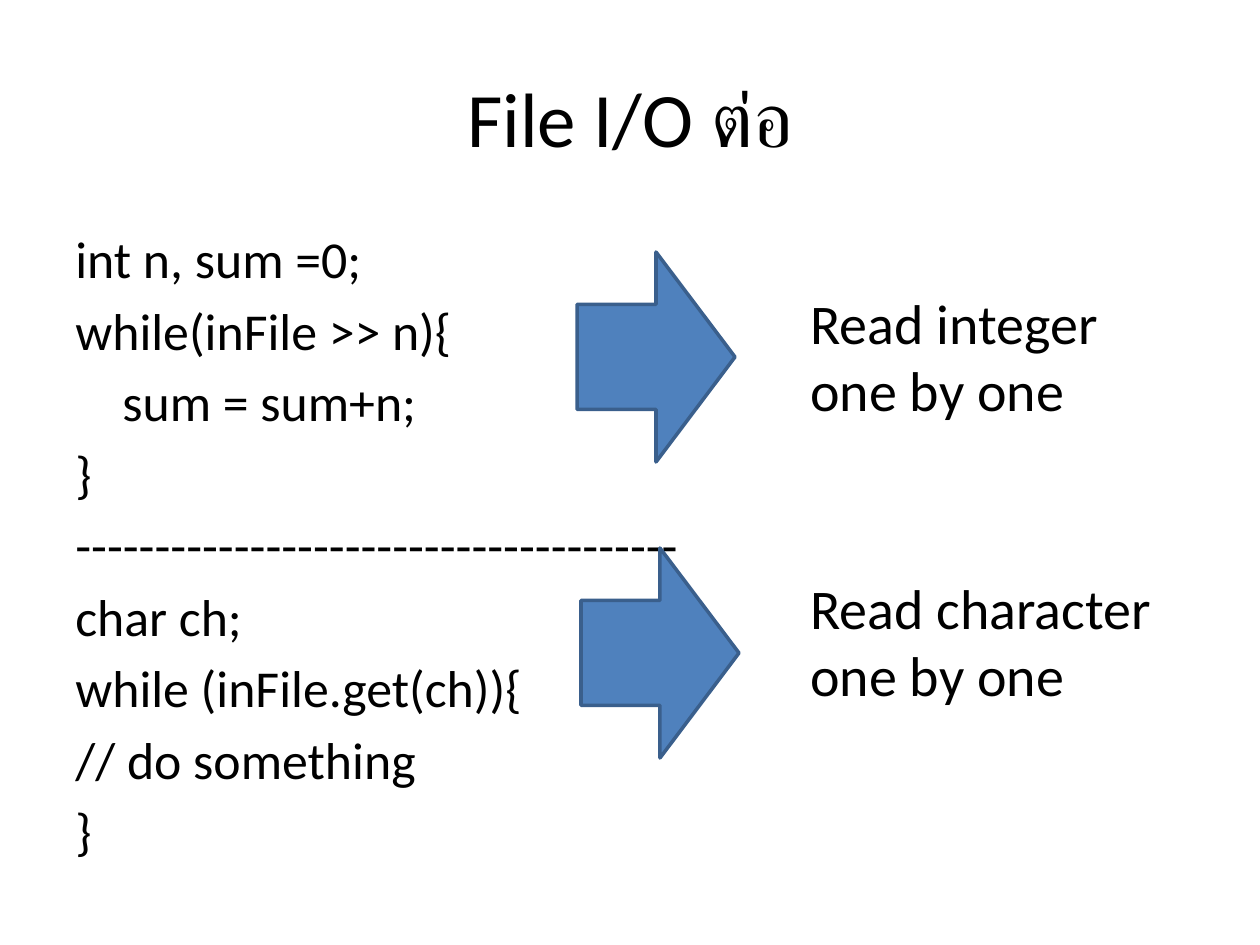
from pptx import Presentation
from pptx.dml.color import RGBColor
from pptx.enum.shapes import MSO_SHAPE
from pptx.enum.text import MSO_ANCHOR, MSO_AUTO_SIZE, PP_ALIGN
from pptx.util import Pt

SCALE = 914400 / 126
BLACK = RGBColor(0x00, 0x00, 0x00)
BLUE = RGBColor(0x4F, 0x81, 0xBD)
NAVY = RGBColor(0x3A, 0x5F, 0x8C)

CODE = """int n, sum =0;
while(inFile >> n){
\tsum = sum+n;
}
--------------------------------------
char ch;
while (inFile.get(ch)){
// do something
}"""

STEPS = [
    (577, 252, 282, "Read integer one by one"),
    (581, 548, 567, "Read character one by one"),
]


def px(n):
    return round(n * SCALE)


def style(frame, size):
    for para in frame.paragraphs:
        for run in para.runs:
            run.font.name = "Calibri"
            run.font.size = Pt(size)
            run.font.color.rgb = BLACK


def add_title(slide, text):
    title = slide.shapes.title
    title.left, title.top = px(63), px(38)
    title.width, title.height = px(1134), px(157)
    frame = title.text_frame
    frame.text = text
    frame.vertical_anchor = MSO_ANCHOR.MIDDLE
    frame.paragraphs[0].alignment = PP_ALIGN.CENTER
    style(frame, 44)


def add_text(slide, left, top, width, height, text, size):
    box = slide.shapes.add_textbox(px(left), px(top), px(width), px(height))
    frame = box.text_frame
    frame.word_wrap = True
    frame.text = text
    style(frame, size)
    return frame


def add_code(slide, text):
    frame = add_text(slide, 63, 221, 1134, 624, text, 29.6)
    for i, para in enumerate(frame.paragraphs):
        props = para._p.get_or_add_pPr()
        props.set("marL", str(px(47)))
        props.set("indent", str(px(-47)))
        if i:
            para.space_before = Pt(5.3)


def add_arrow(slide, left, top):
    arrow = slide.shapes.add_shape(
        MSO_SHAPE.RIGHT_ARROW, px(left), px(top), px(158), px(210))
    arrow.shadow.inherit = False
    arrow.fill.solid()
    arrow.fill.fore_color.rgb = BLUE
    arrow.line.color.rgb = NAVY
    arrow.line.width = Pt(2)


def add_note(slide, top, text):
    frame = add_text(slide, 798, top, 399, 149, text, 32)
    frame.auto_size = MSO_AUTO_SIZE.SHAPE_TO_FIT_TEXT


def main():
    deck = Presentation()
    deck.slide_width, deck.slide_height = px(1260), px(945)
    slide = deck.slides.add_slide(deck.slide_layouts[5])
    add_title(slide, "File I/O ต่อ")
    add_code(slide, CODE)
    for left, top, note, text in STEPS:
        add_arrow(slide, left, top)
        add_note(slide, note, text)
    deck.save("out.pptx")


if __name__ == "__main__":
    main()
